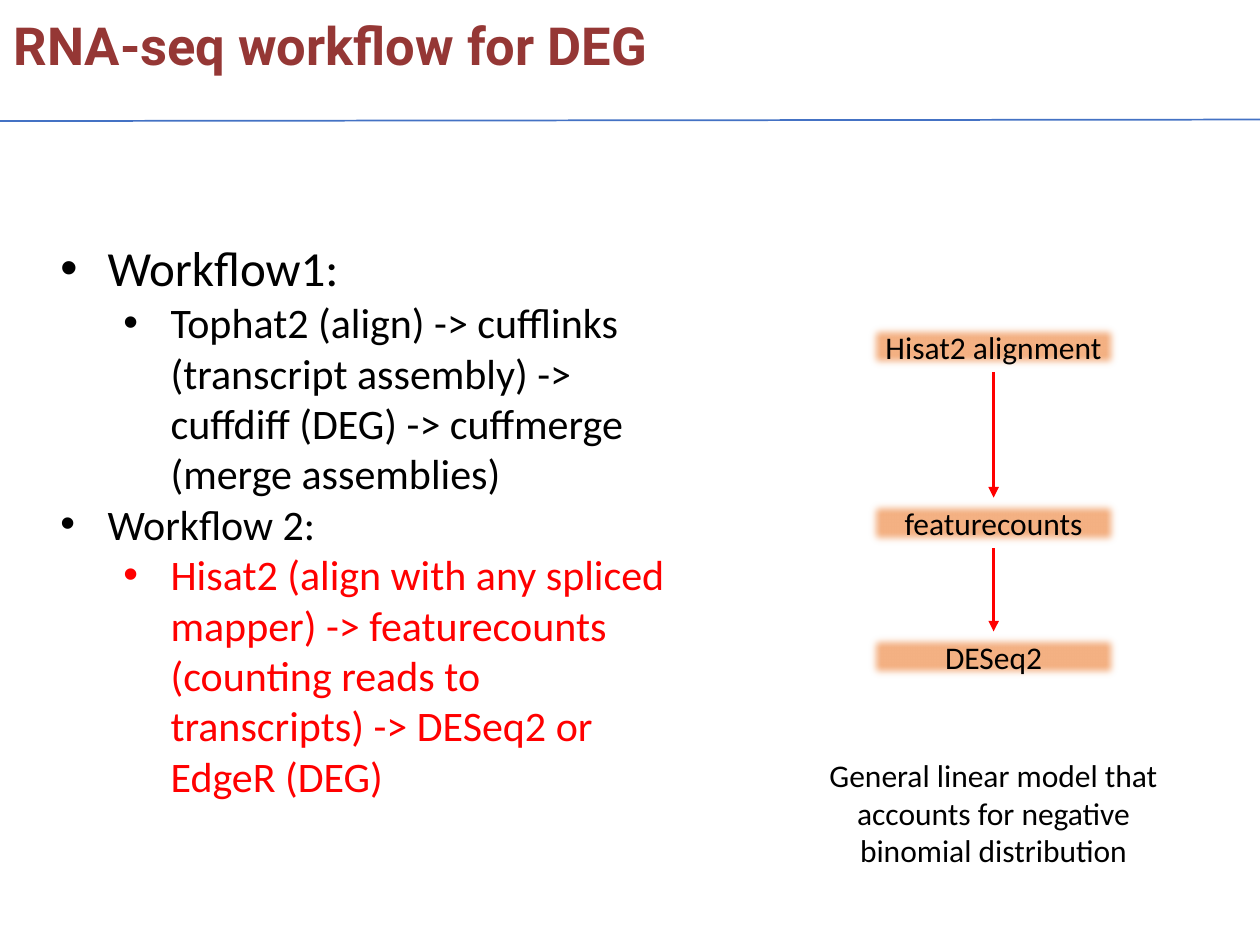
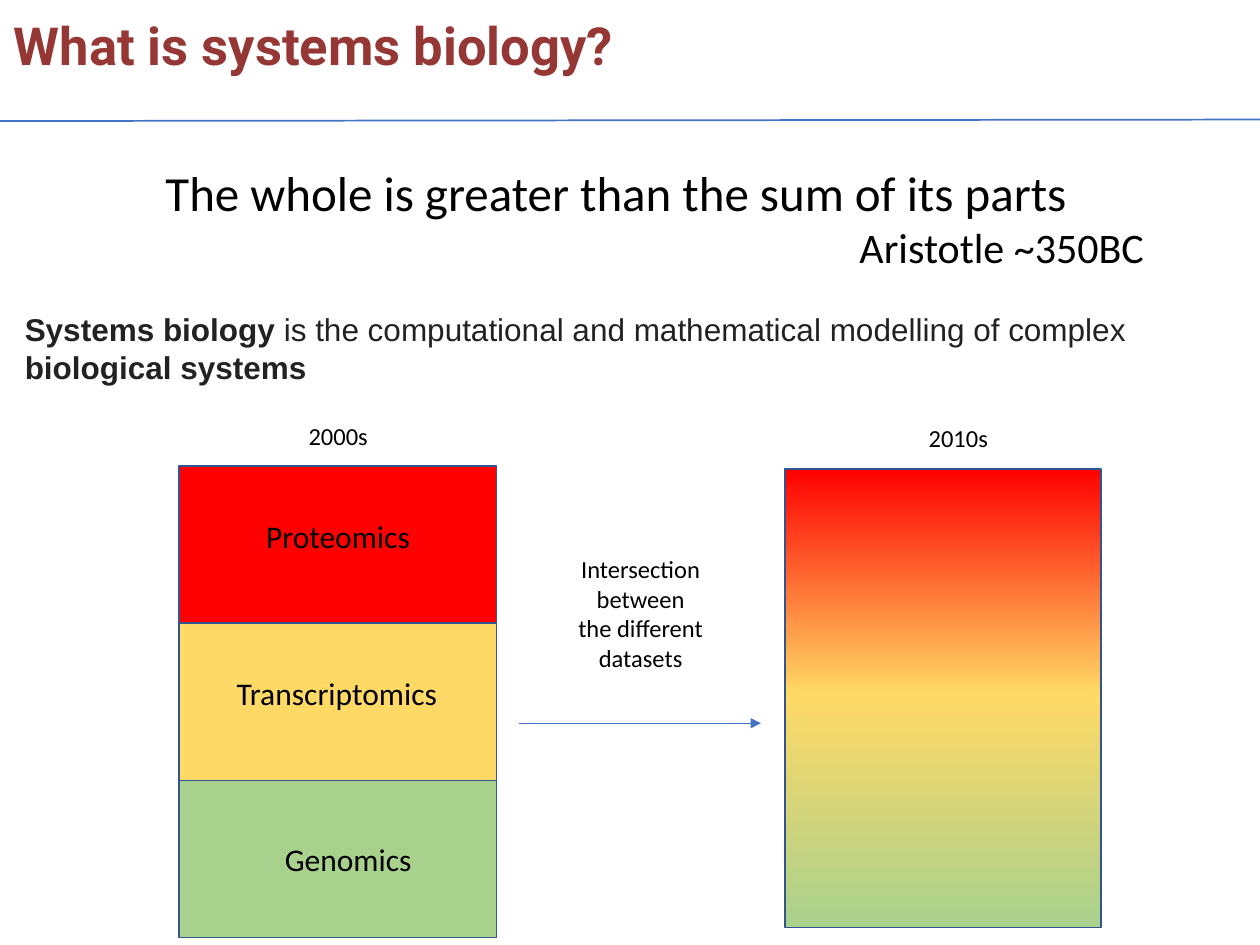
from lxml.etree import SubElement
from pptx import Presentation
from pptx.dml.color import RGBColor
from pptx.enum.shapes import MSO_CONNECTOR, MSO_SHAPE
from pptx.enum.text import MSO_ANCHOR, MSO_AUTO_SIZE, PP_ALIGN
from pptx.oxml.ns import qn
from pptx.util import Cm, Pt

BLACK = RGBColor(0x00, 0x00, 0x00)
MAROON = RGBColor(0x95, 0x37, 0x35)
CHARCOAL = RGBColor(0x22, 0x22, 0x22)
BLUE = RGBColor(0x44, 0x72, 0xC4)
NAVY = RGBColor(0x32, 0x54, 0x91)
PEACH = RGBColor(0xF4, 0xB1, 0x83)
RED = RGBColor(0xFF, 0x00, 0x00)
YELLOW = RGBColor(0xFF, 0xD9, 0x66)
GREEN = RGBColor(0xA9, 0xD1, 0x8E)

BODY_FONT = "Calibri"
SLIDE_W = 25.4


def cm_box(box):
    """Turn a box in centimetres into lengths."""
    return [Cm(v) for v in box]


def add_run(p, text, size, color=BLACK, font=BODY_FONT, bold=False):
    """Append one formatted run to a paragraph."""
    r = p.add_run()
    r.text = text
    r.font.size = Pt(size)
    r.font.name = font
    r.font.bold = bold
    r.font.color.rgb = color


def prepare(tf):
    """Make a text frame wrap from the top and grow with its text."""
    tf.word_wrap = True
    tf.auto_size = MSO_AUTO_SIZE.SHAPE_TO_FIT_TEXT
    tf.vertical_anchor = MSO_ANCHOR.TOP


def add_text_box(s, box):
    """Add an empty text box and return its text frame."""
    tf = s.shapes.add_textbox(*cm_box(box)).text_frame
    prepare(tf)
    return tf


def add_label(s, box, text, size):
    """Add a centred one-paragraph label."""
    p = add_text_box(s, box).paragraphs[0]
    p.alignment = PP_ALIGN.CENTER
    add_run(p, text, size)


def add_rect(s, box):
    """Add a rectangle without shadow or outline."""
    sp = s.shapes.add_shape(MSO_SHAPE.RECTANGLE, *cm_box(box))
    sp.shadow.inherit = False
    sp.line.fill.background()
    return sp


def outline(sp):
    """Give a block its thin navy outline."""
    sp.line.color.rgb = NAVY
    sp.line.width = Pt(1)


def add_line(s, start, end, color, width, arrow=False):
    """Draw a straight line, with an arrowhead at its end if asked."""
    c = s.shapes.add_connector(MSO_CONNECTOR.STRAIGHT, *cm_box(start + end))
    c.line.color.rgb = color
    c.line.width = Pt(width)
    if arrow:
        SubElement(c.line._get_or_add_ln(), qn("a:tailEnd"), type="triangle")
    SubElement(c._element.spPr, qn("a:effectLst"))


def soften(sp, radius):
    """Blur the edges of a shape."""
    effects = sp._element.spPr.find(qn("a:effectLst"))
    SubElement(effects, qn("a:softEdge"), rad=str(Pt(radius)))


def fill_downwards(sp, stops):
    """Fill a shape with a top-to-bottom gradient."""
    sp.fill.gradient()
    sp.fill.gradient_angle = 270
    stop_list = sp._element.spPr.find(".//" + qn("a:gsLst"))
    for gs in list(stop_list):
        stop_list.remove(gs)
    for percent, color in stops:
        gs = SubElement(stop_list, qn("a:gs"), pos=str(percent * 1000))
        SubElement(gs, qn("a:srgbClr"), val=str(color))


def add_bullet(p, level):
    """Give a paragraph a hanging round bullet."""
    p.level = level
    pPr = p._p.get_or_add_pPr()
    pPr.set("marL", str(Cm(0.95 + 1.27 * level)))
    pPr.set("indent", str(Cm(-0.95)))
    SubElement(pPr, qn("a:buFont"), typeface="Arial")
    SubElement(pPr, qn("a:buChar"), char="•")


def new_slide(prs, title):
    """Start a blank slide with the title and the rule below it."""
    s = prs.slides.add_slide(prs.slide_layouts[6])
    tf = add_text_box(s, (0, 0.13, 25.86, 1.55))
    tf.margin_left = tf.margin_right = Cm(0.28)
    add_run(tf.paragraphs[0], title, 30, MAROON, "Roboto", True)
    add_line(s, (0, 2.44), (SLIDE_W, 2.41), BLUE, 1)
    return s


def workflow_list(s, box):
    """List the two workflows with their tools."""
    items = [
        (0, "Workflow1:", 28, BLACK),
        (1, "Tophat2 (align) -> cufflinks (transcript assembly) -> "
            "cuffdiff (DEG) -> cuffmerge (merge assemblies)", 24, BLACK),
        (0, "Workflow 2:", 24, BLACK),
        (1, "Hisat2 (align with any spliced mapper) -> featurecounts "
            "(counting reads to transcripts) -> DESeq2 or EdgeR (DEG)", 24, RED),
    ]
    tf = add_text_box(s, box)
    for i, (level, text, size, color) in enumerate(items):
        p = tf.add_paragraph() if i else tf.paragraphs[0]
        add_bullet(p, level)
        add_run(p, text, size, color)


def pipeline(s, box):
    """Stack the pipeline steps and join them with arrows."""
    x, y, w, h = box
    steps = [("Hisat2 alignment", 0), ("featurecounts", 3.55), ("DESeq2", 6.25)]
    for text, dy in steps:
        sp = add_rect(s, (x, y + dy, w, h))
        sp.fill.solid()
        sp.fill.fore_color.rgb = PEACH
        soften(sp, 5)
        prepare(sp.text_frame)
        p = sp.text_frame.paragraphs[0]
        p.alignment = PP_ALIGN.CENTER
        add_run(p, text, 18)
    mid = x + w / 2
    for (_, dy), (_, next_dy) in zip(steps, steps[1:]):
        add_line(s, (mid, y + dy + h), (mid, y + next_dy), RED, 2, arrow=True)


def quote(s, box):
    """Set the quotation and its author."""
    tf = add_text_box(s, box)
    p = tf.paragraphs[0]
    p.alignment = PP_ALIGN.CENTER
    add_run(p, "The whole is greater than the sum of its parts", 28)
    p = tf.add_paragraph()
    p.alignment = PP_ALIGN.RIGHT
    add_run(p, "Aristotle ~350BC", 24)


def definition(s, box):
    """Define systems biology with its terms in bold."""
    p = add_text_box(s, box).paragraphs[0]
    for text, bold in [
        ("Systems biology", True),
        (" is the computational and mathematical modelling of complex ", False),
        ("biological systems", True),
    ]:
        add_run(p, text, 18, CHARCOAL, "Arial", bold)


def separate_layers(s, box):
    """Stack the separate omics layers under their decade."""
    x, y, w, h = box
    layers = [
        ("Proteomics", RED, 1.01, 0.89, 4.39),
        ("Transcriptomics", YELLOW, 0.78, 0.89, 4.8),
        ("Genomics", GREEN, 1.01, 1.07, 4.8),
    ]
    step = h / len(layers)
    add_label(s, (x + 1.7, y - 1.04, 3.02, 0.86), "2000s", 14)
    for i, (text, color, dx, dy, label_w) in enumerate(layers):
        top = y + i * step
        sp = add_rect(s, (x, top, w, step))
        sp.fill.solid()
        sp.fill.fore_color.rgb = color
        outline(sp)
        add_label(s, (x + dx, top + dy, label_w, 1.02), text, 18)


def merged_layers(s, box):
    """Draw the blended layers under their decade."""
    x, y = box[:2]
    add_label(s, (x + 1.99, y - 1.04, 3.02, 0.86), "2010s", 14)
    sp = add_rect(s, box)
    fill_downwards(sp, [(0, RED), (49, YELLOW), (100, GREEN)])
    outline(sp)


def intersection(s, box):
    """Lead from the separate layers to the blended ones."""
    x, y, w, h = box
    add_label(s, (x + 0.94, y, 3.03, 3.25),
              "Intersection between the different datasets", 14)
    add_line(s, (x, y + h), (x + w, y + h), BLUE, 0.5, arrow=True)


def workflow_slide(prs):
    """Build the RNA-seq workflow slide."""
    s = new_slide(prs, "RNA-seq workflow for DEG")
    workflow_list(s, (0.97, 4.67, 13.03, 11.71))
    pipeline(s, (17.45, 6.48, 5.16, 1.02))
    add_label(s, (16.31, 15.11, 7.44, 2.57),
              "General linear model that accounts for negative "
              "binomial distribution", 18)


def systems_slide(prs):
    """Build the systems biology slide."""
    s = new_slide(prs, "What is systems biology?")
    quote(s, (1.52, 3.15, 21.79, 6.07))
    definition(s, (0.25, 6.12, 25.15, 1.8))
    separate_layers(s, (3.61, 9.4, 6.4, 9.5))
    intersection(s, (10.46, 11.05, 4.88, 3.53))
    merged_layers(s, (15.82, 9.45, 6.38, 9.25))


def main():
    """Build and save the presentation."""
    prs = Presentation()
    prs.slide_width = Cm(SLIDE_W)
    prs.slide_height = Cm(19.05)
    workflow_slide(prs)
    systems_slide(prs)
    prs.save("out.pptx")


if __name__ == "__main__":
    main()
